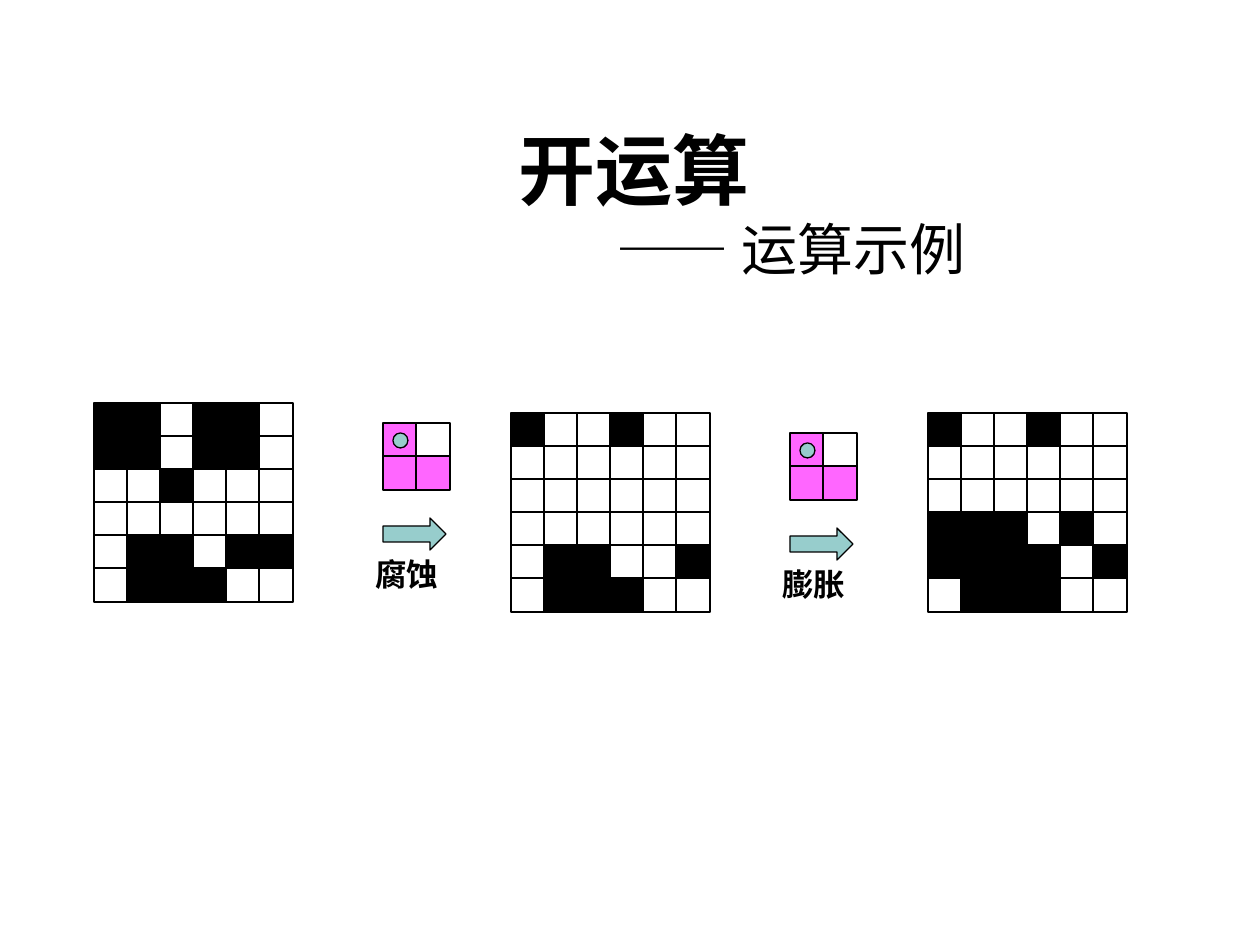
from lxml import etree
from pptx import Presentation
from pptx.dml.color import RGBColor
from pptx.enum.shapes import MSO_SHAPE
from pptx.enum.text import MSO_ANCHOR, MSO_AUTO_SIZE, PP_ALIGN
from pptx.oxml.ns import qn
from pptx.util import Pt

RECTANGLE, ELLIPSE, ARROW = MSO_SHAPE.RECTANGLE, MSO_SHAPE.OVAL, MSO_SHAPE.RIGHT_ARROW
BOTTOM, CENTER = MSO_ANCHOR.BOTTOM, PP_ALIGN.CENTER
NO_FIT, GROW = MSO_AUTO_SIZE.NONE, MSO_AUTO_SIZE.SHAPE_TO_FIT_TEXT
BLACK = RGBColor(0, 0, 0)
WHITE = RGBColor(255, 255, 255)
PINK = RGBColor(0xFF, 0x66, 0xFF)
TEAL = RGBColor(0x97, 0xCD, 0xCC)
TITLE_FONT, CHINESE_FONT = "Montserrat", "Noto Sans CJK SC"

TITLE, SUBTITLE = "开运算 ", "—— 运算示例"
OPERATIONS = [("腐蚀", 383, 423), ("膨胀", 790, 433)]
KERNEL = ["P.", "PP"]
IMAGES = [
    (94, 403, ["##.##.", "##.##.", "..#...", "......", ".##.##", ".###.."]),
    (511, 413, ["#..#..", "......", "......", "......", ".##..#", ".###.."]),
    (928, 413, ["#..#..", "......", "......", "###.#.", "####.#", ".###.."]),
]
CELL_COLORS = {"#": BLACK, ".": WHITE, "P": PINK}
PITCH, CELL = 33, 34
EMU_PER_PX = 914400 / 126


def px(*lengths):
    return [round(length * EMU_PER_PX) for length in lengths]


def add_shape(group, kind, place, color):
    shape = group.shapes.add_shape(kind, *px(*place))
    shape.shadow.inherit = False
    shape.fill.solid()
    shape.fill.fore_color.rgb = color
    shape.line.color.rgb = BLACK
    shape.line.width = Pt(0.75)


def add_grid(group, left, top, rows):
    for row, symbols in enumerate(rows):
        for column, symbol in enumerate(symbols):
            place = (left + column * PITCH, top + row * PITCH, CELL, CELL)
            add_shape(group, RECTANGLE, place, CELL_COLORS[symbol])


def write(para, text, *, size, font, bold=False, align=None, indent=0):
    if indent:
        para._p.get_or_add_pPr().set("marL", str(px(indent)[0]))
    para.alignment = align
    span = para.add_run()
    span.text = text
    span.font.size = Pt(size)
    span.font.bold = bold
    span.font.name = font
    span.font.color.rgb = BLACK
    east_asian = etree.SubElement(span.font._element, qn("a:ea"))
    east_asian.set("typeface", CHINESE_FONT)


deck = Presentation()
deck.slide_width, deck.slide_height = px(1260, 945)
page = deck.slides.add_slide(deck.slide_layouts[5])

title = page.shapes.title
title.left, title.top, title.width, title.height = px(112, 131, 1061, 157)
frame = title.text_frame
frame.word_wrap = True
frame.auto_size = NO_FIT
frame.vertical_anchor = BOTTOM
write(frame.paragraphs[0], TITLE, size=44, font=TITLE_FONT, bold=True, align=CENTER)
write(frame.add_paragraph(), SUBTITLE, size=32, font=TITLE_FONT, align=CENTER, indent=297)

for name, left, top in OPERATIONS:
    group = page.shapes.add_group_shape()
    add_shape(group, ARROW, (left, top + 95, 63, 32), TEAL)
    add_grid(group, left, top, KERNEL)
    add_shape(group, ELLIPSE, (left + 10, top + 10, 15, 15), TEAL)
    box = group.shapes.add_textbox(*px(left - 20, top + 126, 105, 50))
    box.text_frame.word_wrap = True
    box.text_frame.auto_size = GROW
    write(box.text_frame.paragraphs[0], name, size=18, font=CHINESE_FONT, bold=True)

for left, top, rows in IMAGES:
    add_grid(page.shapes.add_group_shape(), left, top, rows)

deck.save("out.pptx")
